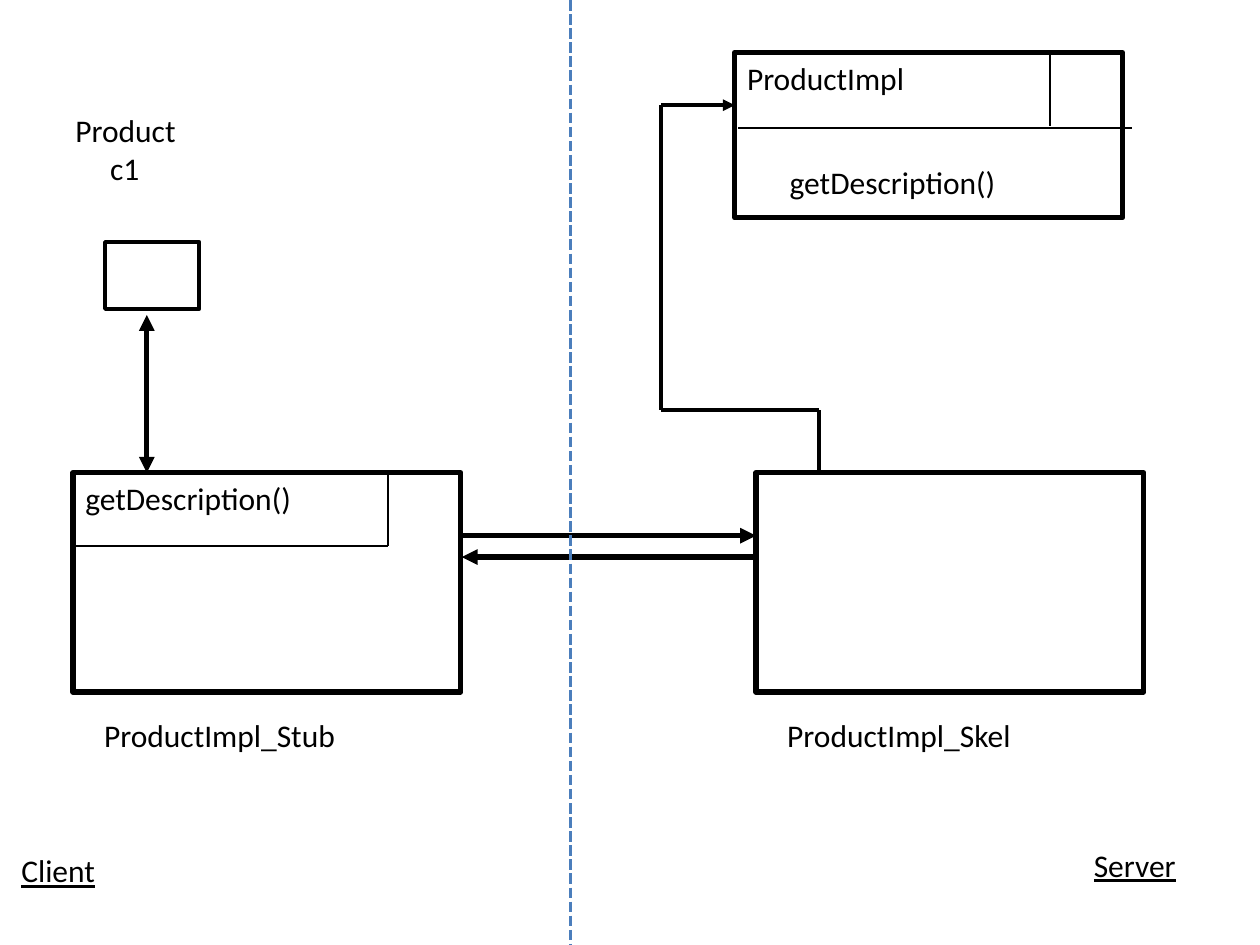
from itertools import pairwise

from lxml.etree import SubElement
from pptx import Presentation
from pptx.dml.color import RGBColor
from pptx.enum.dml import MSO_LINE_DASH_STYLE as DASH
from pptx.enum.shapes import MSO_CONNECTOR as CONNECTOR, MSO_SHAPE as SHAPE
from pptx.enum.text import MSO_ANCHOR as ANCHOR, PP_ALIGN as ALIGN
from pptx.oxml.ns import qn
from pptx.util import Cm, Pt

BLACK = RGBColor(0x00, 0x00, 0x00)
BLUE = RGBColor(0x4B, 0x7E, 0xBC)
FONT = "Calibri"
SLIDE_WIDTH, SLIDE_HEIGHT = 25.4, 19.05
DIVIDER_X = 11.5
OBJECT_TOP, OBJECT_WIDTH, OBJECT_HEIGHT = 9.53, 7.82, 4.42
THIN, MEDIUM, THICK = 1, 2.25, 3


def write(frame, text, size=18, color=BLACK, underline=None, indents=(0,)):
    """Fill a text frame, one paragraph for each line; indents are in cm."""
    frame.word_wrap = True
    frame.vertical_anchor = ANCHOR.TOP
    frame.text = text
    for paragraph, indent in zip(frame.paragraphs, indents):
        paragraph.alignment = ALIGN.LEFT
        if indent:
            paragraph._p.get_or_add_pPr().set("marL", str(Cm(indent)))
        font = paragraph.runs[0].font
        font.name, font.size = FONT, Pt(size)
        font.color.rgb = color
        font.underline = underline


def add_label(slide, text, left, top, width, height=1.27, **text_format):
    label = slide.shapes.add_textbox(Cm(left), Cm(top), Cm(width), Cm(height))
    write(label.text_frame, text, **text_format)


def add_box(slide, left, top, width, height, weight=THICK, text=None):
    box = slide.shapes.add_shape(SHAPE.RECTANGLE, Cm(left), Cm(top), Cm(width), Cm(height))
    box.shadow.inherit = False
    box.fill.background()
    box.line.color.rgb = BLACK
    box.line.width = Pt(weight)
    if text:
        write(box.text_frame, text)


def add_line(slide, start, end, weight=THIN, color=BLACK, dash=None, arrows=()):
    """Draw a line; arrows holds "headEnd" (at start) and/or "tailEnd" (at end)."""
    line = slide.shapes.add_connector(CONNECTOR.STRAIGHT, *map(Cm, start + end))
    line.line.color.rgb = color
    line.line.width = Pt(weight)
    if dash:
        line.line.dash_style = dash
    properties = line._element.spPr
    for arrow in arrows:
        SubElement(properties.find(qn("a:ln")), qn(f"a:{arrow}"), type="triangle")
    SubElement(properties, qn("a:effectLst"))


def add_remote_object(slide, left, top, name, method=None):
    """Draw a stub or skeleton box with its name below it."""
    add_box(slide, left, top, OBJECT_WIDTH, OBJECT_HEIGHT, text=method)
    add_label(slide, name, left + 0.38, top + OBJECT_HEIGHT + 0.35, 6.7)


def add_implementation(slide, left, top):
    add_box(slide, left, top, OBJECT_WIDTH, 3.33, text="ProductImpl")
    add_line(slide, (left + 0.07, top + 1.52), (left + 8, top + 1.52))
    add_line(slide, (left + 6.35, top + 1.47), (left + 6.35, top))
    add_label(slide, "getDescription()", left + 0.86, top + 2.11, 4.72, 1.02)


def add_client(slide, left, top):
    add_box(slide, left + 2.12, top + 4.88, 1.9, 1.35, MEDIUM)
    add_label(slide, "Product\nc1", left + 1.27, top + 2.12, 3.15, 2.29, indents=(0, 0.7))

    stub_left, stub_top = left + 1.47, top + OBJECT_TOP
    add_remote_object(slide, stub_left, stub_top, "ProductImpl_Stub", "getDescription()")
    method_corner = (stub_left + 6.35, stub_top + 1.47)
    add_line(slide, (stub_left, method_corner[1]), method_corner)
    add_line(slide, method_corner, (method_corner[0], stub_top))

    add_line(slide, (left + 2.96, top + 6.35), (left + 2.96, stub_top),
             THICK, arrows=("headEnd", "tailEnd"))
    add_label(slide, "Client", left + 0.18, top + 17.04, 2.57, underline=True)


def add_server(slide, left, top):
    skeleton_left, skeleton_top = left + 3.74, top + OBJECT_TOP
    implementation_left = left + 3.31
    add_remote_object(slide, skeleton_left, skeleton_top, "ProductImpl_Skel")
    add_implementation(slide, implementation_left, top + 1.06)

    call_route = [(left + 5.01, skeleton_top), (left + 5.01, top + 8.26),
                  (left + 1.83, top + 8.26), (left + 1.83, top + 2.12),
                  (implementation_left, top + 2.12)]
    for start, end in pairwise(call_route):
        arrows = ("tailEnd",) if end == call_route[-1] else ()
        add_line(slide, start, end, MEDIUM, arrows=arrows)
    add_label(slide, "Server", left + 10.3, top + 16.93, 2.72, underline=True)


def add_network(slide, left, right, top):
    """Draw the request and the reply between stub and skeleton."""
    add_line(slide, (left, top), (right, top), THICK, arrows=("tailEnd",))
    add_line(slide, (right, top + 0.43), (left, top + 0.43), THICK, arrows=("tailEnd",))


def main():
    deck = Presentation()
    deck.slide_width, deck.slide_height = Cm(SLIDE_WIDTH), Cm(SLIDE_HEIGHT)
    slide = deck.slides.add_slide(deck.slide_layouts[6])
    add_client(slide, 0, 0)
    add_server(slide, DIVIDER_X, 0)
    add_network(slide, 9.31, DIVIDER_X + 3.74, 10.8)
    add_line(slide, (DIVIDER_X, 0), (DIVIDER_X, SLIDE_HEIGHT), 2, BLUE, DASH.SQUARE_DOT)
    deck.save("out.pptx")


if __name__ == "__main__":
    main()
